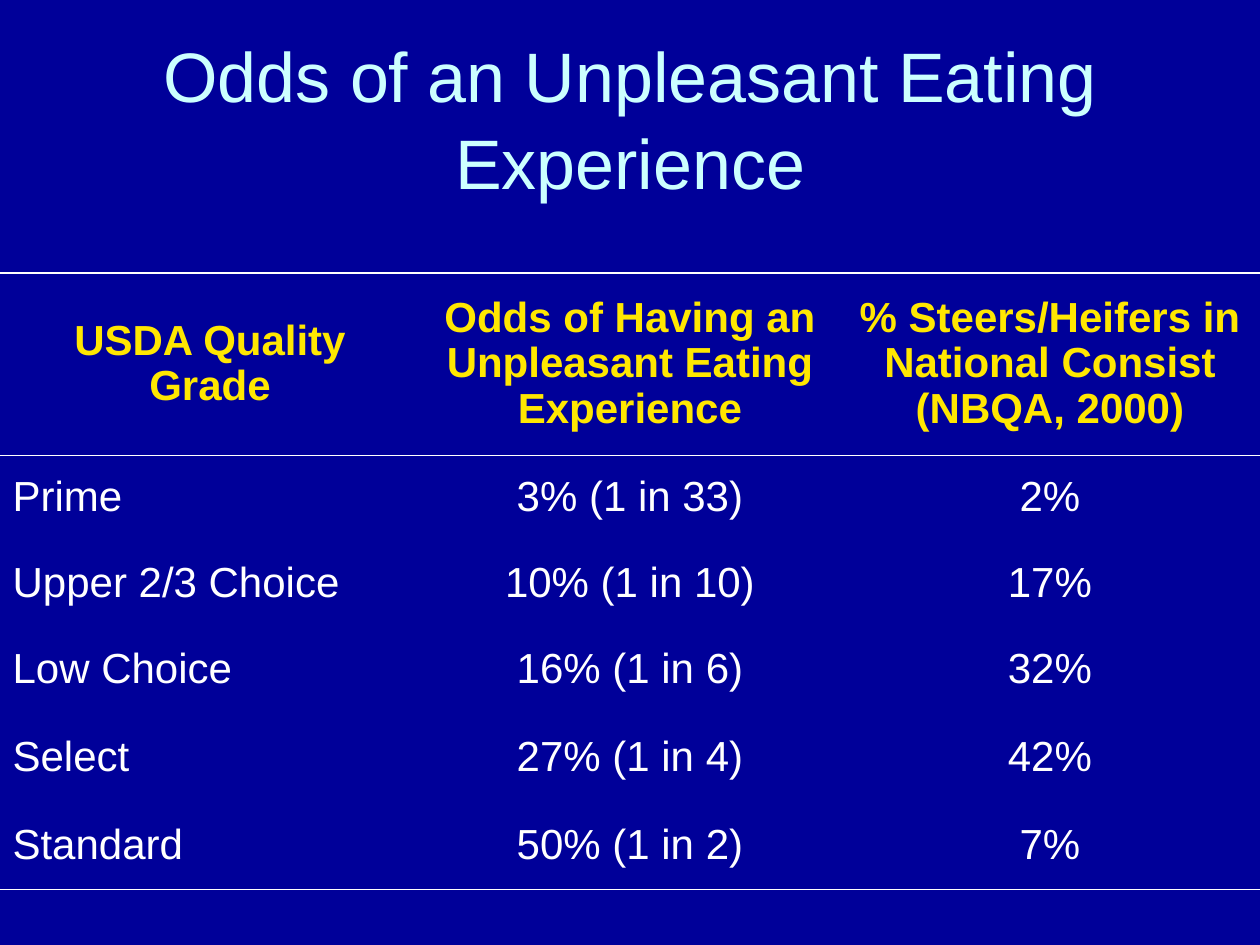
import pptx
import pptx.util
import pptx.dml.color
import pptx.enum.text
import pptx.oxml.ns
import lxml.etree

Cm = pptx.util.Cm
Pt = pptx.util.Pt
ALIGN = pptx.enum.text.PP_ALIGN
MIDDLE = pptx.enum.text.MSO_ANCHOR.MIDDLE
NO_STYLE = "{2D5ABB26-0587-4C30-8999-92F81FD0307C}"
qn = pptx.oxml.ns.qn


def write(paragraph, text, size, color, bold=False, align=ALIGN.CENTER, spacing=1.0):
    paragraph.alignment = align
    paragraph.line_spacing = spacing
    run = paragraph.add_run()
    run.text = text
    run.font.name = "Arial"
    run.font.size = Pt(size)
    run.font.bold = bold
    run.font.color.rgb = pptx.dml.color.RGBColor.from_string(color)


def add_border(cell, side, width):
    """Draw one white cell edge, or none when the width is 0."""
    properties = cell._tc.get_or_add_tcPr()
    line = lxml.etree.SubElement(properties, qn("a:ln" + side), w=str(Pt(width)))
    if width:
        fill = lxml.etree.SubElement(line, qn("a:solidFill"))
        lxml.etree.SubElement(fill, qn("a:srgbClr"), val="FFFFFF")
    else:
        lxml.etree.SubElement(line, qn("a:noFill"))


presentation = pptx.Presentation()
presentation.slide_width = Cm(25.4)
presentation.slide_height = Cm(19.05)
slide = presentation.slides.add_slide(presentation.slide_layouts[6])

# Background
background = slide.background.fill
background.solid()
background.fore_color.rgb = pptx.dml.color.RGBColor.from_string("000099")

# Title
title = slide.shapes.add_textbox(Cm(1.27), Cm(0.76), Cm(22.86), Cm(3.18))
title.text_frame.word_wrap = True
title.text_frame.vertical_anchor = MIDDLE
write(title.text_frame.paragraphs[0], "Odds of an Unpleasant Eating Experience",
      40, "CCFFFF", spacing=1.04)

# Table of odds by quality grade
rows = [
    ("USDA Quality Grade", "Odds of Having an Unpleasant Eating Experience",
     "% Steers/Heifers in National Consist (NBQA, 2000)"),
    ("Prime", "3% (1 in 33)", "2%"),
    ("Upper 2/3 Choice", "10% (1 in 10)", "17%"),
    ("Low Choice", "16% (1 in 6)", "32%"),
    ("Select", "27% (1 in 4)", "42%"),
    ("Standard", "50% (1 in 2)", "7%"),
]
row_heights = [3.66, 1.75, 1.7, 1.77, 1.77, 1.77]
last_row = len(rows) - 1
top_borders = {0: 1.08, 1: 0.45}
bottom_borders = {0: 0.45, last_row: 1.08}

frame = slide.shapes.add_table(len(rows), 3, Cm(0), Cm(5.51), Cm(25.4), Cm(sum(row_heights)))
table = frame.table
table.first_row = False
table.horz_banding = False
table._tbl.tblPr.find(qn("a:tableStyleId")).text = NO_STYLE

for row_index, texts in enumerate(rows):
    table.rows[row_index].height = Cm(row_heights[row_index])
    is_header = row_index == 0
    for column_index, text in enumerate(texts):
        cell = table.cell(row_index, column_index)
        cell.vertical_anchor = MIDDLE
        add_border(cell, "L", 0)
        add_border(cell, "R", 0)
        add_border(cell, "T", top_borders.get(row_index, 0))
        add_border(cell, "B", bottom_borders.get(row_index, 0))
        cell.fill.background()
        is_label = column_index == 0 and not is_header
        write(cell.text_frame.paragraphs[0], text, 24,
              "FFE701" if is_header else "FFFFFF", is_header,
              ALIGN.LEFT if is_label else ALIGN.CENTER, 0.97)

presentation.save("out.pptx")
